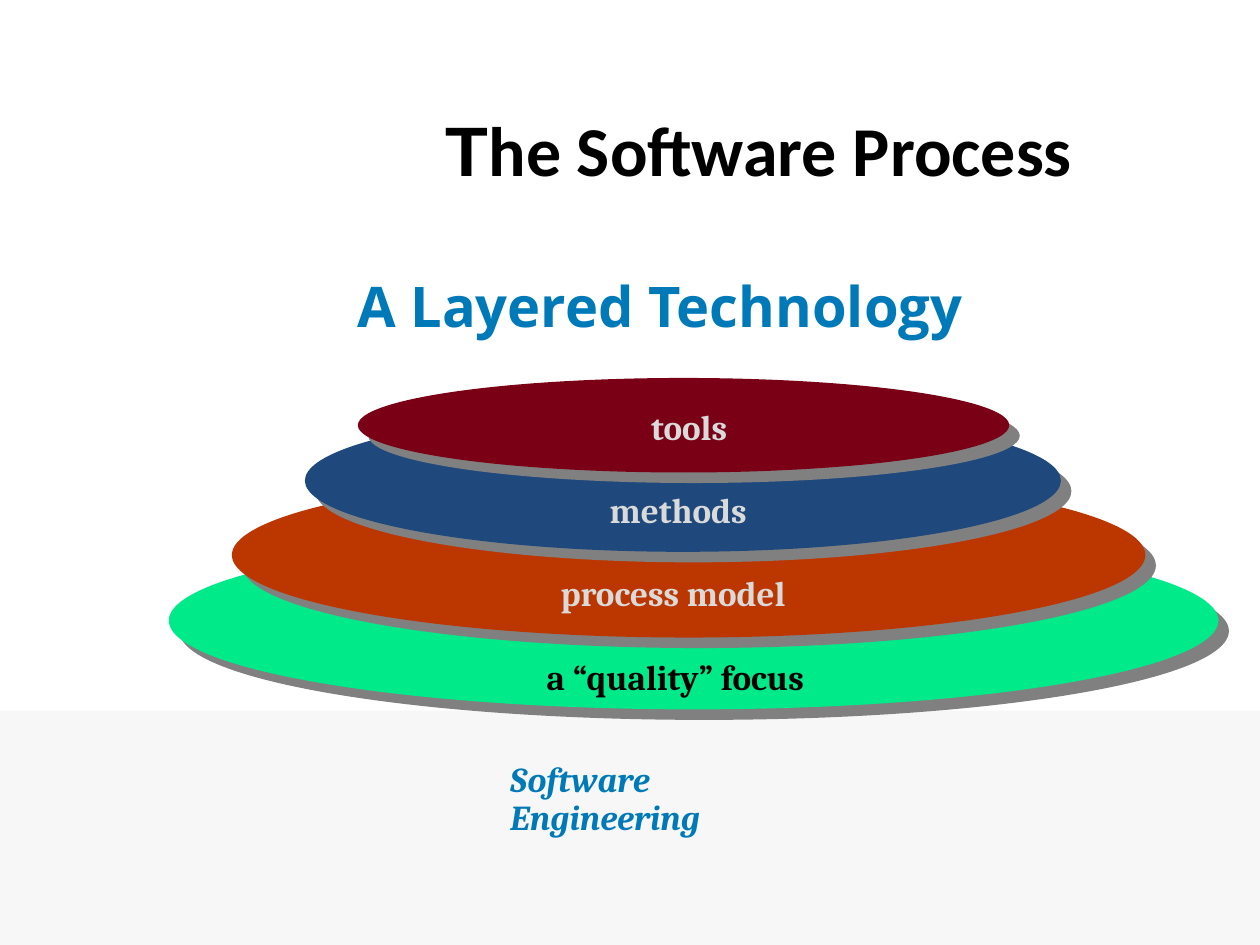
from lxml.etree import SubElement
from pptx import Presentation
from pptx.dml.color import RGBColor
from pptx.enum.shapes import MSO_SHAPE as Shape
from pptx.enum.text import MSO_ANCHOR as Anchor, MSO_AUTO_SIZE as AutoSize, PP_ALIGN as Align
from pptx.oxml.ns import qn
from pptx.util import Inches, Pt

COLORS = {
    "band": "F7F7F7", "black": "000000", "blue": "0079B8", "light": "DADADA",
    "green": "01EA89", "orange": "BC3700", "navy": "1F497D", "maroon": "790015",
    "shadow": "808080",
}

presentation = Presentation()
presentation.slide_width = Inches(10)
presentation.slide_height = Inches(7.5)
slide = presentation.slides.add_slide(presentation.slide_layouts[6])
column = presentation.slide_width / 10
row = presentation.slide_height / 7.5


def add_filled(kind, left, top, width, height, color):
    shape = slide.shapes.add_shape(
        kind, int(left * column), int(top * row), int(width * column), int(height * row))
    shape.shadow.inherit = False
    shape.fill.solid()
    shape.fill.fore_color.rgb = RGBColor.from_string(COLORS[color])
    shape.line.fill.background()
    return shape


def add_text(left, top, width, height, runs, size, color, italic=None):
    box = slide.shapes.add_textbox(
        int(left * column), int(top * row), int(width * column), int(height * row))
    box.text_frame.word_wrap = True
    paragraph = box.text_frame.paragraphs[0]
    for text, font_name in runs:
        run = paragraph.add_run()
        run.text = text
        run.font.name = font_name
        run.font.size = Pt(size)
        run.font.bold = True
        run.font.italic = italic
        run.font.color.rgb = RGBColor.from_string(COLORS[color])
    return box.text_frame


add_filled(Shape.RECTANGLE, 0, 5.64, 10, 1.86, "band")

title = add_text(3.44, 0.67, 6.56, 1.02,
                 [("T", "Arial"), ("he Software Process", "Calibri")], 40, "black")
title.vertical_anchor = Anchor.MIDDLE

subtitle = add_text(1.96, 1.91, 6.56, 1.02,
                    [("A Layered Technology", "Open Sans")], 32, "blue")
subtitle.vertical_anchor = Anchor.MIDDLE
subtitle.paragraphs[0].alignment = Align.CENTER

caption = add_text(3.95, 6, 2.85, 0.4,
                   [("Software Engineering", "Cambria")], 20, "blue", italic=True)
caption.paragraphs[0].line_spacing = 0.9

layers = [
    (1.34, 4.22, 8.33, 1.41, "green"),
    (1.84, 3.75, 7.25, 1.31, "orange"),
    (2.42, 3.25, 6, 1.13, "navy"),
    (2.84, 3, 5.17, 0.75, "maroon"),
]
for left, top, width, height, color in layers:
    ellipse = add_filled(Shape.OVAL, left, top, width, height, color)
    effects = ellipse._element.spPr.find(qn("a:effectLst"))
    shadow = SubElement(effects, qn("a:outerShdw"), blurRad="0", dist=str(Pt(8.5)),
                        dir=str(45 * 60000), algn="ctr", rotWithShape="0")
    SubElement(shadow, qn("a:srgbClr"), val=COLORS["shadow"])

labels = [
    ("tools", 5.07, 0.82, "light"),
    ("methods", 4.74, 1.3, "light"),
    ("process model", 4.35, 2.01, "light"),
    ("a “quality” focus", 4.24, 2.35, "black"),
]
for index, (text, left, width, color) in enumerate(labels):
    label = add_text(left, 3.17 + 0.66 * index, width, 0.43, [(text, "Cambria")], 20, color)
    label.auto_size = AutoSize.SHAPE_TO_FIT_TEXT

presentation.save("out.pptx")
